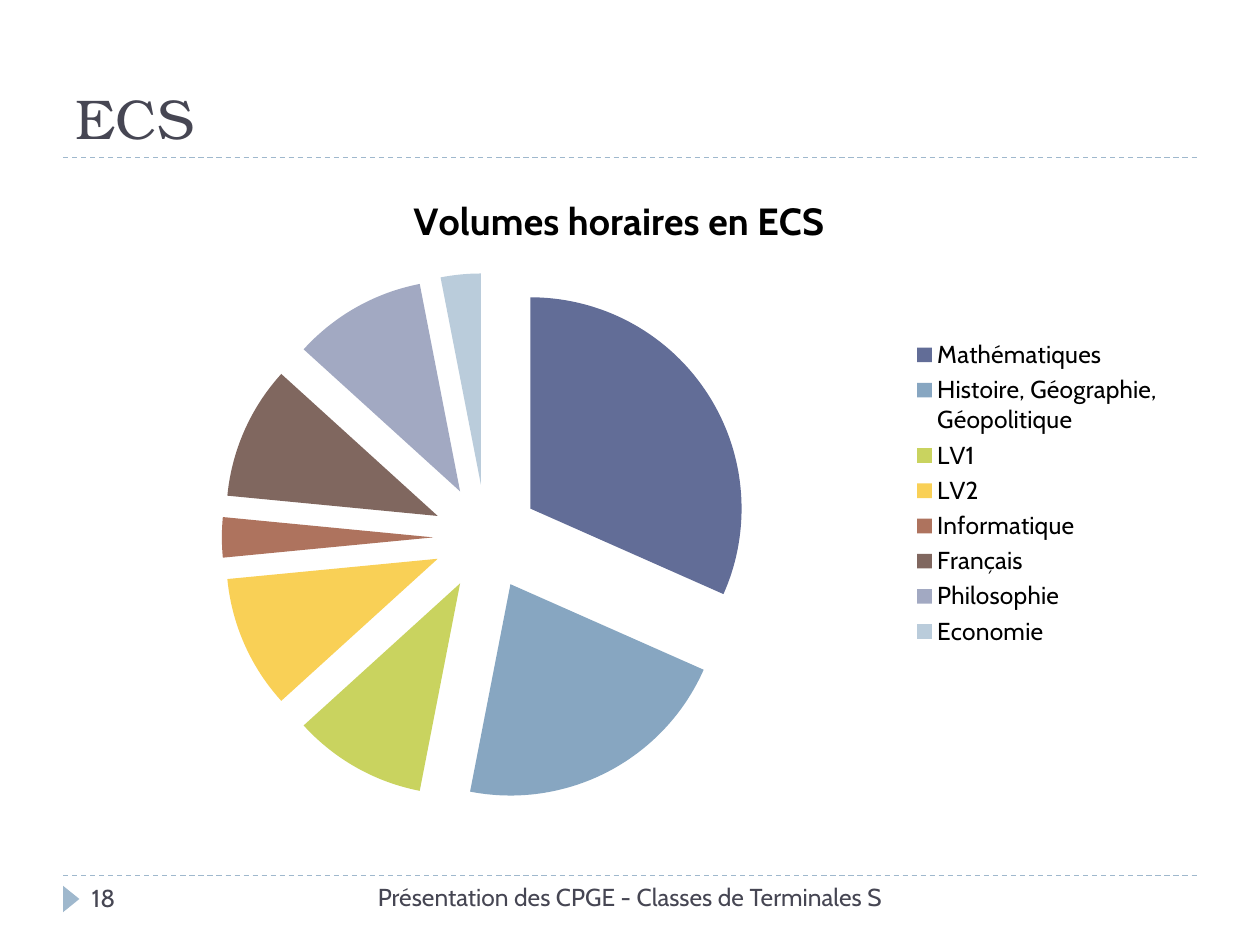
from dataclasses import dataclass

from lxml import etree
from pptx import Presentation
from pptx.chart import data
from pptx.dml import color
from pptx.enum import chart as charts, dml, shapes, text
from pptx.oxml import ns
from pptx.util import Inches, Pt


@dataclass(frozen=True)
class Theme:
    ink: str = "464653"
    black: str = "000000"
    accent: str = "9FB8CD"
    heading_font: str = "TeX Gyre Bonum"
    body_font: str = "Cabin"
    title_size: float = 32
    chart_title_size: float = 21.6
    chart_size: float = 18
    small_size: float = 14
    rule_width: float = 0.75


THEME = Theme()
WIDTH, HEIGHT = 10, 7.5
MARGIN = 0.05 * WIDTH
CONTENT = WIDTH - 2 * MARGIN
TITLE_RULE, FOOTER_RULE = 1.25, 6.95

# Subject, weekly hours, base colour, brightness
SUBJECTS = [
    ("Mathématiques", 31, "727CA3", -0.1),
    ("Histoire, Géographie, Géopolitique", 21, "9FB8CD", -0.1),
    ("LV1", 10, "D2DA7A", -0.1),
    ("LV2", 10, "FADA7A", -0.1),
    ("Informatique", 3, "B88472", -0.1),
    ("Français", 10, "8E736A", -0.1),
    ("Philosophie", 10, "727CA3", 0.34),
    ("Economie", 3, "9FB8CD", 0.28),
]


def rgb(value):
    return color.RGBColor.from_string(value)


def box_lengths(box):
    return [Inches(length) for length in box]


def style_font(font, name, size, ink, bold=False):
    values = {"name": name, "size": Pt(size), "bold": bold}
    for attribute, value in values.items():
        setattr(font, attribute, value)
    font.color.rgb = rgb(ink)


def add_rule(slide, y):
    ends = box_lengths((MARGIN, y, MARGIN + CONTENT, y))
    rule = slide.shapes.add_connector(shapes.MSO_CONNECTOR.STRAIGHT, *ends)
    rule.line.color.rgb = rgb(THEME.accent)
    rule.line.width = Pt(THEME.rule_width)
    rule.line.dash_style = dml.MSO_LINE.DASH
    etree.SubElement(rule._element.spPr, ns.qn("a:effectLst"))


def add_heading(slide, box):
    heading = slide.shapes.title
    heading.left, heading.top, heading.width, heading.height = box_lengths(box)
    frame = heading.text_frame
    frame.text = "ECS"
    frame.auto_size = text.MSO_AUTO_SIZE.NONE
    frame.vertical_anchor = text.MSO_ANCHOR.BOTTOM
    paragraph = frame.paragraphs[0]
    paragraph.alignment = text.PP_ALIGN.LEFT
    style_font(paragraph.runs[0].font, THEME.heading_font, THEME.title_size, THEME.ink)


def add_hours_chart(slide, box):
    names, hours, _, _ = zip(*SUBJECTS)
    hours_data = data.CategoryChartData()
    hours_data.categories = names
    hours_data.add_series("Series 1", hours)
    pie = slide.shapes.add_chart(
        charts.XL_CHART_TYPE.PIE, *box_lengths(box), hours_data).chart
    style_font(pie.font, THEME.body_font, THEME.chart_size, THEME.black)

    # Title and legend
    pie.has_title = True
    title_frame = pie.chart_title.text_frame
    title_frame.text = "Volumes horaires en ECS"
    style_font(title_frame.paragraphs[0].runs[0].font, THEME.body_font,
               THEME.chart_title_size, THEME.black, bold=True)
    pie.chart_title.include_in_layout = False
    pie.has_legend = True
    pie.legend.position = charts.XL_LEGEND_POSITION.RIGHT
    pie.legend.include_in_layout = False
    style_font(pie.legend.font, THEME.body_font, THEME.small_size, THEME.black)

    # Exploded, coloured slices
    plot = pie.plots[0]
    plot.vary_by_categories = True
    series = plot.series[0]
    explosion = etree.Element(ns.qn("c:explosion"), val="25")
    series._element.find(ns.qn("c:cat")).addprevious(explosion)
    for index, (_, _, base, brightness) in enumerate(SUBJECTS):
        fill = series.points[index].format.fill
        fill.solid()
        fill.fore_color.rgb = rgb(base)
        fill.fore_color.brightness = brightness


def add_label(slide, box, wording, alignment):
    frame = slide.shapes.add_textbox(*box_lengths(box)).text_frame
    frame.word_wrap = True
    frame.text = wording
    paragraph = frame.paragraphs[0]
    paragraph.alignment = alignment
    style_font(paragraph.runs[0].font, THEME.body_font, THEME.small_size, THEME.ink)


def add_footer(slide, box):
    left, top, width, height = box
    # Page marker, turned to point right
    marker = slide.shapes.add_shape(
        shapes.MSO_SHAPE.ISOSCELES_TRIANGLE,
        *box_lengths((left - 0.04, top + 0.12, 0.21, 0.13)))
    marker.rotation = 90
    marker.shadow.inherit = False
    marker.fill.solid()
    marker.fill.fore_color.rgb = rgb(THEME.accent)
    marker.line.fill.background()

    # Centred deck name and page number
    name_width = 4.72
    name_left = left + (width - name_width) / 2
    add_label(slide, (name_left, top, name_width, height),
              "Présentation des CPGE - Classes de Terminales S", text.PP_ALIGN.CENTER)
    add_label(slide, (left + 0.13, top + 0.01, 2.17, height), "18", text.PP_ALIGN.LEFT)


def main():
    deck = Presentation()
    deck.slide_width, deck.slide_height = Inches(WIDTH), Inches(HEIGHT)
    slide = deck.slides.add_slide(deck.slide_layouts[5])
    for y in (FOOTER_RULE, TITLE_RULE):
        add_rule(slide, y)
    add_heading(slide, (MARGIN, 0.17, CONTENT, TITLE_RULE - 0.17))
    add_hours_chart(slide, (MARGIN, 1.33, 8.83, 5.17))
    add_footer(slide, (MARGIN, FOOTER_RULE, CONTENT, 0.4))
    deck.save("out.pptx")


if __name__ == "__main__":
    main()
